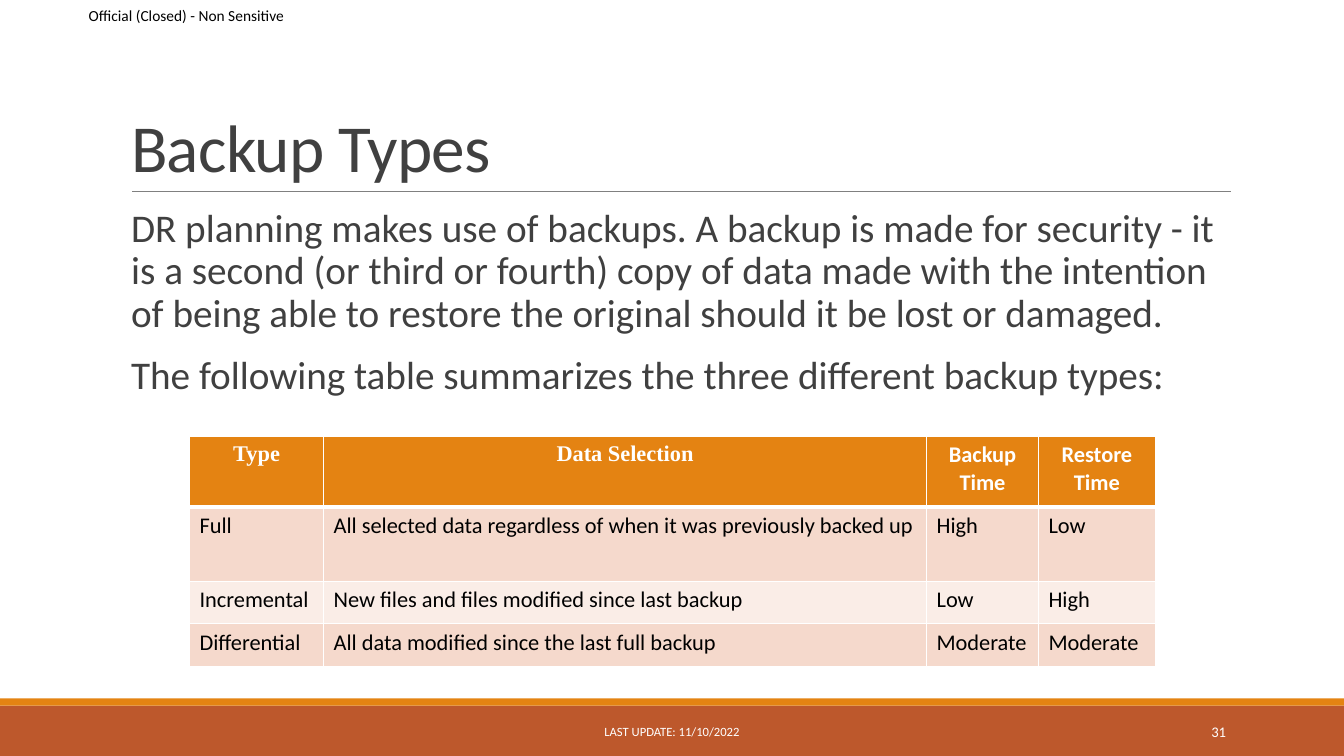
from dataclasses import dataclass

from lxml import etree
from pptx import Presentation
from pptx.dml.color import RGBColor
from pptx.enum.shapes import MSO_CONNECTOR, MSO_SHAPE
from pptx.enum.text import MSO_ANCHOR, MSO_AUTO_SIZE, PP_ALIGN
from pptx.oxml.ns import qn
from pptx.util import Inches, Pt

RECTANGLE = MSO_SHAPE.RECTANGLE
STRAIGHT = MSO_CONNECTOR.STRAIGHT
LEFT, CENTER, RIGHT = PP_ALIGN.LEFT, PP_ALIGN.CENTER, PP_ALIGN.RIGHT
TOP, MIDDLE, BOTTOM = MSO_ANCHOR.TOP, MSO_ANCHOR.MIDDLE, MSO_ANCHOR.BOTTOM
NO_AUTOFIT = MSO_AUTO_SIZE.NONE


@dataclass(frozen=True)
class Theme:
    """Hold the fonts, colours and type sizes of the slide."""
    font: str = "Calibri"
    serif: str = "Times New Roman"
    orange: str = "E48312"
    rust: str = "BD582C"
    rule: str = "808080"
    gray: str = "404040"
    black: str = "000000"
    white: str = "FFFFFF"
    bands: tuple = ("F5D9CC", "FAEDE7")
    title_size: float = 48
    body_size: float = 28
    table_size: float = 16
    label_size: float = 11
    footer_size: float = 9
    number_size: float = 10.5


THEME = Theme()

BODY = (
    "DR planning makes use of backups. A backup is made for security - it is a second "
    "(or third or fourth) copy of data made with the intention of being able to restore "
    "the original should it be lost or damaged.",
    "The following table summarizes the three different backup types:",
)
COLUMN_WIDTHS = (1.33, 5.98, 1.11, 1.16)
ROW_HEIGHTS = (0.7, 0.74, 0.42, 0.42)
BACKUP_TYPES = (
    ("Type", "Data Selection", "Backup Time", "Restore Time"),
    ("Full", "All selected data regardless of when it was previously backed up", "High", "Low"),
    ("Incremental", "New files and files modified since last backup", "Low", "High"),
    ("Differential", "All data modified since the last full backup", "Moderate", "Moderate"),
)


def write_paragraph(paragraph, text, *, size, color, font=THEME.font, bold=False,
                    align=LEFT, line_spacing=1.0, before=0, after=0, tracking=0):
    """Write one formatted run into a paragraph."""
    paragraph.alignment = align
    paragraph.line_spacing = line_spacing
    paragraph.space_before, paragraph.space_after = Pt(before), Pt(after)
    run = paragraph.add_run()
    run.text = text
    run.font.name, run.font.size, run.font.bold = font, Pt(size), bold
    run.font.color.rgb = RGBColor.from_string(color)
    if tracking:
        run.font._element.set("spc", str(round(tracking * 100)))


def place(shape, left, top, width, height):
    """Move and size a shape in inches."""
    shape.left, shape.top = Inches(left), Inches(top)
    shape.width, shape.height = Inches(width), Inches(height)


def format_frame(frame, anchor, inset):
    """Set wrapping, anchor and side insets of a text frame."""
    frame.word_wrap = True
    frame.auto_size = NO_AUTOFIT
    frame.vertical_anchor = anchor
    frame.margin_left = frame.margin_right = Inches(inset)
    frame.margin_top = frame.margin_bottom = Inches(0.05)


def add_label(slide, text, left, top, width, height, *, inset=0.1, **text_format):
    """Add a one-paragraph text box centred vertically."""
    box = slide.shapes.add_textbox(Inches(left), Inches(top), Inches(width), Inches(height))
    format_frame(box.text_frame, MIDDLE, inset)
    write_paragraph(box.text_frame.paragraphs[0], text, **text_format)


def add_band(slide, top, height, color):
    """Add a full-width colour band."""
    shape = slide.shapes.add_shape(
        RECTANGLE, Inches(0), Inches(top), Inches(13.33), Inches(height))
    shape.shadow.inherit = False
    shape.fill.solid()
    shape.fill.fore_color.rgb = RGBColor.from_string(color)
    shape.line.fill.background()


def add_rule(slide, left, right, top):
    """Add the thin line under the title."""
    rule = slide.shapes.add_connector(
        STRAIGHT, Inches(left), Inches(top), Inches(right), Inches(top))
    rule.line.color.rgb = RGBColor.from_string(THEME.rule)
    rule.line.width = Pt(0.5)
    etree.SubElement(rule._element.spPr, qn("a:effectLst"))


def fill_title(slide, text):
    """Place and write the title placeholder."""
    title = slide.shapes.title
    place(title, 1.2, 0.31, 11, 1.59)
    format_frame(title.text_frame, BOTTOM, 0.1)
    write_paragraph(title.text_frame.paragraphs[0], text, size=THEME.title_size,
                    color=THEME.gray, line_spacing=0.85, tracking=-0.5)


def fill_body(slide, texts):
    """Place and write the body placeholder without visible bullets."""
    body = slide.placeholders[1]
    place(body, 1.2, 2.02, 11, 4.4)
    frame = body.text_frame
    format_frame(frame, TOP, 0)
    for index, text in enumerate(texts):
        paragraph = frame.add_paragraph() if index else frame.paragraphs[0]
        properties = paragraph._p.get_or_add_pPr()
        properties.set("marL", str(Inches(0.1)))
        properties.set("indent", "0")
        etree.SubElement(properties, qn("a:buNone"))
        write_paragraph(paragraph, text, size=THEME.body_size, color=THEME.gray,
                        line_spacing=0.9, before=12 if index else 0, after=2)


def set_borders(cell, **widths):
    """Draw white cell borders with widths in points by side."""
    properties = cell._tc.get_or_add_tcPr()
    for side in "LRTB":
        line = etree.SubElement(properties, qn(f"a:ln{side}"), w=str(Pt(widths.get(side, 1))))
        fill = etree.SubElement(line, qn("a:solidFill"))
        etree.SubElement(fill, qn("a:srgbClr"), val=THEME.white)


def format_cell(cell, text, row, column):
    """Write and colour one table cell by its position."""
    header = row == 0
    set_borders(cell, T=3 if row == 1 else 1, B=3 if header else 1)
    cell.fill.solid()
    color = THEME.orange if header else THEME.bands[(row - 1) % 2]
    cell.fill.fore_color.rgb = RGBColor.from_string(color)
    write_paragraph(cell.text_frame.paragraphs[0], text, size=THEME.table_size,
                    color=THEME.white if header else THEME.black, bold=header,
                    font=THEME.serif if header and column < 2 else THEME.font,
                    align=CENTER if header else LEFT)


def add_backup_table(slide):
    """Add the table that compares backup types."""
    table = slide.shapes.add_table(
        len(ROW_HEIGHTS), len(COLUMN_WIDTHS), Inches(1.88), Inches(4.33),
        Inches(sum(COLUMN_WIDTHS)), Inches(sum(ROW_HEIGHTS))).table
    for column, width in zip(table.columns, COLUMN_WIDTHS):
        column.width = Inches(width)
    for row, height in zip(table.rows, ROW_HEIGHTS):
        row.height = Inches(height)
    for row, texts in enumerate(BACKUP_TYPES):
        for column, text in enumerate(texts):
            format_cell(table.cell(row, column), text, row, column)


def main():
    """Build and save the slide."""
    presentation = Presentation()
    presentation.slide_width, presentation.slide_height = Inches(13.33), Inches(7.5)
    slide = presentation.slides.add_slide(presentation.slide_layouts[1])
    add_band(slide, 7, 0.5, THEME.rust)
    add_band(slide, 6.93, 0.07, THEME.orange)
    add_rule(slide, 1.31, 12.21, 1.9)
    add_label(slide, "Official (Closed) - Non Sensitive", 0.88, 0, 2.13, 0.31, inset=0,
              size=THEME.label_size, color=THEME.black)
    fill_title(slide, "Backup Types")
    fill_body(slide, BODY)
    add_backup_table(slide)
    add_label(slide, "LAST UPDATE: 11/10/2022", 4.03, 7.06, 5.27, 0.4,
              size=THEME.footer_size, color=THEME.white, align=CENTER)
    add_label(slide, "31", 10.83, 7.06, 1.43, 0.4,
              size=THEME.number_size, color=THEME.white, align=RIGHT)
    presentation.save("out.pptx")


if __name__ == "__main__":
    main()
